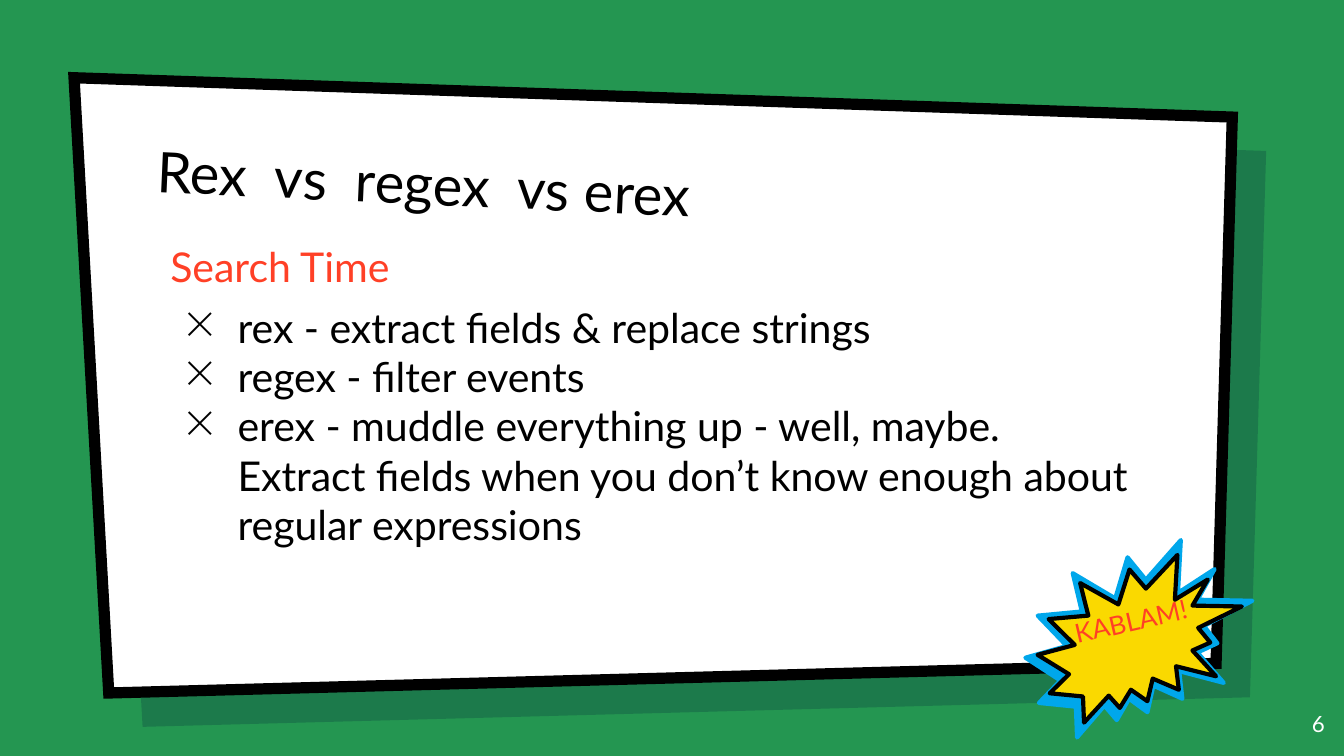
from lxml.etree import SubElement
from pptx import Presentation
from pptx.dml.color import RGBColor
from pptx.enum.shapes import MSO_SHAPE as Shape
from pptx.enum.text import MSO_ANCHOR as Anchor, PP_ALIGN as Align
from pptx.oxml.ns import qn
from pptx.util import Cm, Pt

COLORS = {
    "green": "249651",
    "navy": "001936",
    "white": "FFFFFF",
    "black": "000000",
    "red": "FF4026",
    "blue": "00A7EB",
    "yellow": "FAD900",
}
FONT = "Lato"
CARD_CORNERS = [(0, 0), (1, 0.064), (0.986, 0.952), (0.03, 1)]
COMMANDS = [
    "rex - extract fields & replace strings",
    "regex - filter events",
    "erex - muddle everything up - well, maybe.\n"
    "Extract fields when you don’t know enough about regular expressions",
]


def color(name):
    return RGBColor.from_string(COLORS[name])


def paint(shape, fill, line=None, width=0):
    shape.shadow.inherit = False
    shape.fill.solid()
    shape.fill.fore_color.rgb = color(fill)
    if line:
        shape.line.color.rgb = color(line)
        shape.line.width = Pt(width)
    else:
        shape.line.fill.background()


def style(paragraph, size, font_color, align=Align.LEFT):
    paragraph.alignment = align
    for run in paragraph.runs:
        run.font.name = FONT
        run.font.size = Pt(size)
        run.font.color.rgb = color(font_color)


def add_text_frame(slide, box, inset=0.25, anchor=Anchor.TOP, rotation=0):
    shape = slide.shapes.add_textbox(*map(Cm, box))
    shape.rotation = rotation
    frame = shape.text_frame
    frame.word_wrap = True
    frame.vertical_anchor = anchor
    frame.margin_left = frame.margin_right = Cm(0.25)
    frame.margin_top = frame.margin_bottom = Cm(inset)
    return frame


def add_label(slide, box, text, size, font_color, align=Align.LEFT, **layout):
    paragraph = add_text_frame(slide, box, **layout).paragraphs[0]
    paragraph.text = text
    style(paragraph, size, font_color, align)


def add_bullet(paragraph):
    properties = paragraph._p.get_or_add_pPr()
    properties.set("marL", str(Cm(1.27)))
    properties.set("indent", str(-Cm(1.02)))
    bullet_color = SubElement(properties, qn("a:buClr"))
    SubElement(bullet_color, qn("a:srgbClr"), val=COLORS["black"])
    SubElement(properties, qn("a:buChar"), char="×")


def add_panel(slide, box):
    left, top, width, height = box
    points = [(Cm(left + x * width), Cm(top + y * height)) for x, y in CARD_CORNERS]
    builder = slide.shapes.build_freeform(*points[0])
    builder.add_line_segments(points[1:], close=True)
    return builder.convert_to_shape()


def add_card(slide, box):
    left, top, width, height = box
    shadow = add_panel(slide, (left + 0.64, top + 0.64, width, height))
    paint(shadow, "navy")
    for fill_color in shadow._element.spPr.iterfind(f"{qn('a:solidFill')}/{qn('a:srgbClr')}"):
        SubElement(fill_color, qn("a:alpha"), val="22000")
    card = add_panel(slide, box)
    paint(card, "white", "black", 6)
    SubElement(card.line._get_or_add_ln(), qn("a:miter"), lim="800000")


def add_body(slide, box):
    frame = add_text_frame(slide, box)
    heading = frame.paragraphs[0]
    heading.text = "Search Time"
    style(heading, 22, "red")
    for index, command in enumerate(COMMANDS):
        paragraph = frame.add_paragraph()
        paragraph.text = command
        add_bullet(paragraph)
        paragraph.space_before = Pt(0 if index else 6)
        style(paragraph, 22, "black")


def add_burst(slide, box):
    left, top, width, height = box
    outer = slide.shapes.add_shape(Shape.EXPLOSION2, *map(Cm, box))
    paint(outer, "blue", "blue", 2.25)
    inner_box = (left + 0.23, top + 0.28, width - 0.43, height - 0.56)
    inner = slide.shapes.add_shape(Shape.EXPLOSION2, *map(Cm, inner_box))
    paint(inner, "yellow", "black", 2.25)
    add_label(slide, (left - 0.48, top + 1.09, width + 0.81, 1.55), "KABLAM!",
              14, "red", Align.CENTER, inset=0.13, rotation=347)


def main():
    presentation = Presentation()
    presentation.slide_width = Cm(25.4)
    presentation.slide_height = Cm(14.29)
    slide = presentation.slides.add_slide(presentation.slide_layouts[6])
    slide.background.fill.solid()
    slide.background.fill.fore_color.rgb = color("green")
    add_card(slide, (1.4, 1.47, 21.89, 11.63))
    add_body(slide, (2.97, 4.32, 18.87, 6.76))
    add_label(slide, (2.72, 2.44, 19.53, 2.11), "Rex  vs  regex  vs erex",
              30, "black", anchor=Anchor.BOTTOM, rotation=2.7)
    add_label(slide, (23.77, 13.18, 1.52, 1.09), "6", 12, "white", Align.RIGHT)
    add_burst(slide, (19.38, 10.21, 4.29, 3.73))
    presentation.save("out.pptx")


if __name__ == "__main__":
    main()
